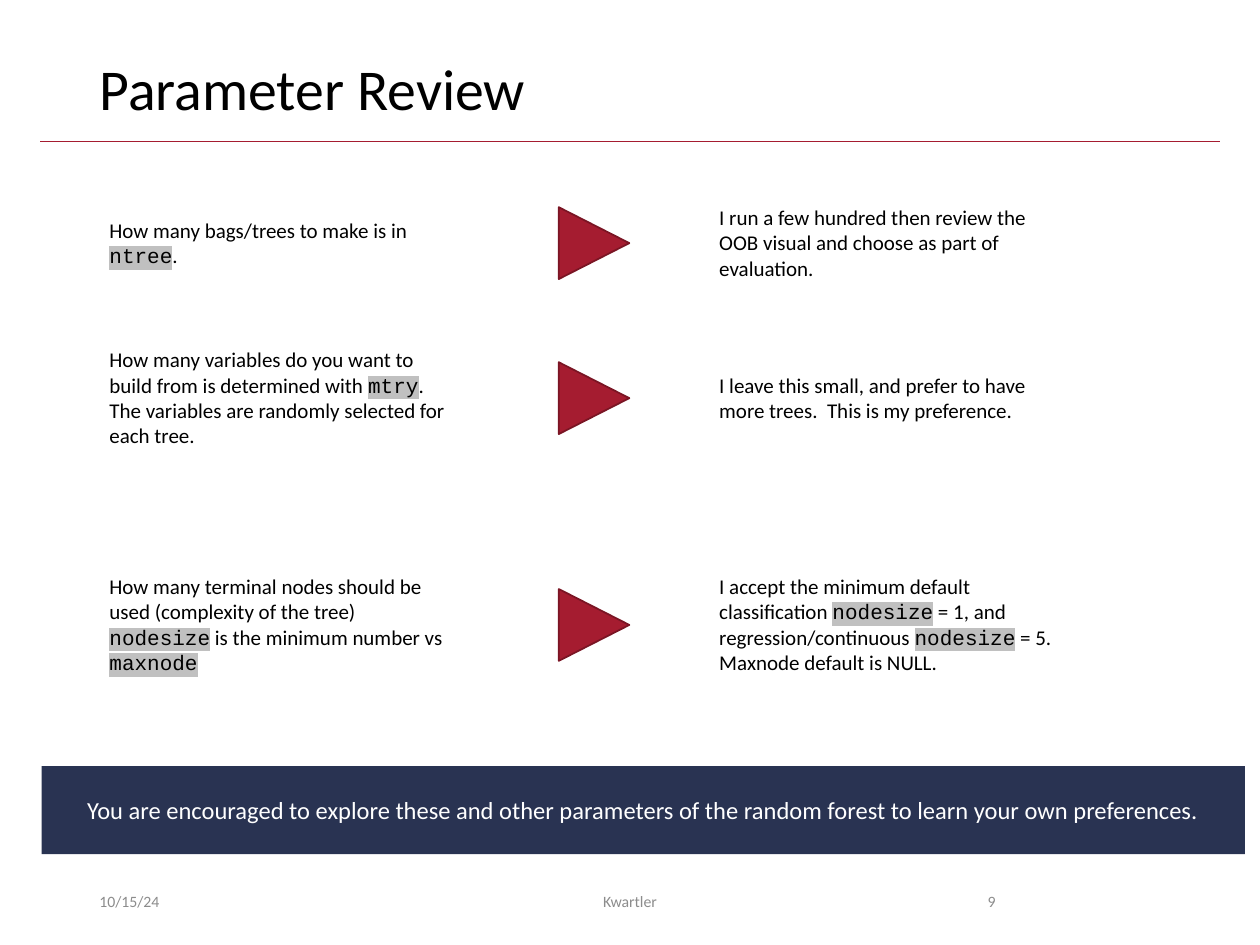
from lxml.etree import SubElement
from pptx import Presentation
from pptx.dml.color import RGBColor
from pptx.enum.shapes import MSO_CONNECTOR as Connector, MSO_SHAPE as Shape
from pptx.enum.text import MSO_ANCHOR as Anchor, MSO_AUTO_SIZE as AutoSize, PP_ALIGN as Align
from pptx.oxml.ns import qn
from pptx.util import Inches, Pt

BLACK = RGBColor(0x00, 0x00, 0x00)
WHITE = RGBColor(0xFF, 0xFF, 0xFF)
GREY = RGBColor(0x8C, 0x8C, 0x8C)
SILVER = RGBColor(0xC0, 0xC0, 0xC0)
CRIMSON = RGBColor(0xA5, 0x1C, 0x30)
MAROON = RGBColor(0x7A, 0x15, 0x24)
NAVY = RGBColor(0x29, 0x33, 0x52)

TITLE_ONLY = 5
LEFT_COLUMN, ARROW_COLUMN, RIGHT_COLUMN = 7.7, 44.3, 56.1
TEXT_WIDTH = 29.1

REVIEW = [
    (19.3,
     "How many bags/trees to make is in `ntree`.", 2,
     "I run a few hundred then review the OOB visual and choose as part of evaluation.", 3),
    (31.6,
     "How many variables do you want to build from is determined with `mtry`.  "
     "The variables are randomly selected for each tree.", 4,
     "I leave this small, and prefer to have more trees.  This is my preference.", 2),
    (49.6,
     "How many terminal nodes should be used (complexity of the tree)\n"
     "`nodesize` is the minimum number vs `maxnode`", 4,
     "I accept the minimum default classification `nodesize` = 1, and "
     "regression/continuous `nodesize` = 5.\nMaxnode default is NULL.", 4),
]
FOOTER = [
    (6.9, 22.5, "10/15/24", Align.LEFT),
    (33.1, 33.8, "Kwartler", Align.CENTER),
    (70.6, 9.4, "9", Align.RIGHT),
]


class ReviewSlide:
    """Draws styled elements on one slide laid out on a 100 by 75 grid."""

    body_font = "Calibri"
    code_font = "Courier New"

    def __init__(self, deck):
        self.slide = deck.slides.add_slide(deck.slide_layouts[TITLE_ONLY])
        self.cell = deck.slide_width / 100

    def grid(self, *lengths):
        return [round(length * self.cell) for length in lengths]

    def style(self, run, size, color, code=False):
        run.font.size = Pt(size)
        run.font.color.rgb = color
        if code:
            properties = run._r.get_or_add_rPr()
            highlight = SubElement(properties, qn("a:highlight"))
            SubElement(highlight, qn("a:srgbClr"), val=str(SILVER))
        run.font.name = self.code_font if code else self.body_font

    def fill_text(self, frame, wording, size, color, align=Align.LEFT):
        frame.word_wrap = True
        frame.text = wording
        for paragraph in frame.paragraphs:
            paragraph.alignment = align
            pieces = paragraph.text.split("`")
            paragraph.clear()
            for index, piece in enumerate(pieces):
                if piece:
                    run = paragraph.add_run()
                    run.text = piece
                    self.style(run, size, color, code=index % 2 == 1)

    def title(self, wording, *box):
        heading = self.slide.shapes.title
        heading.left, heading.top, heading.width, heading.height = self.grid(*box)
        self.fill_text(heading.text_frame, wording, 33, BLACK)
        heading.text_frame.vertical_anchor = Anchor.MIDDLE
        heading.text_frame.paragraphs[0].line_spacing = 0.9

    def rule(self, left, right, row):
        line = self.slide.shapes.add_connector(
            Connector.STRAIGHT, *self.grid(left, row, right, row))
        line.line.color.rgb = CRIMSON
        line.line.width = Pt(0.5)
        SubElement(line._element.spPr, qn("a:effectLst"))

    def statement(self, wording, column, center, lines):
        height = 1 + 2.03 * lines
        box = self.slide.shapes.add_textbox(
            *self.grid(column, center - height / 2, TEXT_WIDTH, height))
        self.fill_text(box.text_frame, wording, 12, BLACK)
        box.text_frame.auto_size = AutoSize.SHAPE_TO_FIT_TEXT

    def arrow(self, center):
        width, height = 5.7, 5.6
        triangle = self.slide.shapes.add_shape(
            Shape.ISOSCELES_TRIANGLE,
            *self.grid(ARROW_COLUMN, center - height / 2, width, height))
        triangle.rotation = 90
        triangle.shadow.inherit = False
        triangle.fill.solid()
        triangle.fill.fore_color.rgb = CRIMSON
        triangle.line.color.rgb = MAROON
        triangle.line.width = Pt(1)

    def banner(self, wording, *box):
        band = self.slide.shapes.add_shape(Shape.RECTANGLE, *self.grid(*box))
        band.shadow.inherit = False
        band.fill.solid()
        band.fill.fore_color.rgb = NAVY
        band.line.fill.background()
        self.fill_text(band.text_frame, wording, 14, WHITE, Align.CENTER)
        band.text_frame.vertical_anchor = Anchor.MIDDLE

    def footer(self, wording, column, width, align):
        note = self.slide.shapes.add_textbox(*self.grid(column, 69.5, width, 4))
        self.fill_text(note.text_frame, wording, 9, GREY, align)
        note.text_frame.vertical_anchor = Anchor.MIDDLE


def main():
    deck = Presentation()
    deck.slide_width, deck.slide_height = Inches(10), Inches(7.5)
    review = ReviewSlide(deck)
    review.rule(3.2, 96.8, 11.2)
    review.title("Parameter Review", 6.9, 4, 86.2, 6.5)
    for center, question, question_lines, answer, answer_lines in REVIEW:
        review.statement(question, LEFT_COLUMN, center, question_lines)
        review.arrow(center)
        review.statement(answer, RIGHT_COLUMN, center, answer_lines)
    review.banner(
        "You are encouraged to explore these and other parameters of the random forest "
        "to learn your own preferences.", 3.3, 60.8, 95.5, 7)
    for column, width, wording, align in FOOTER:
        review.footer(wording, column, width, align)
    deck.save("out.pptx")


if __name__ == "__main__":
    main()
